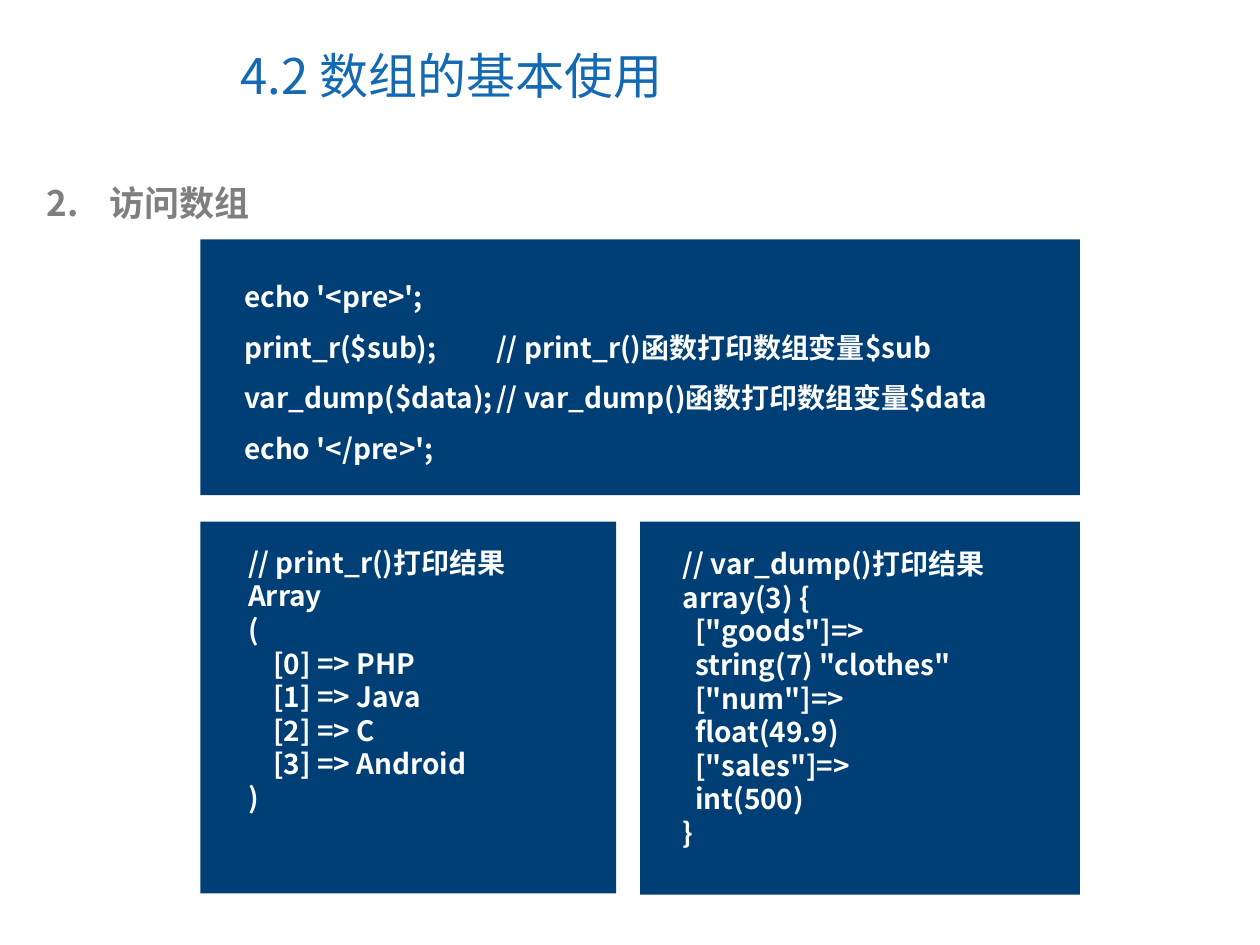
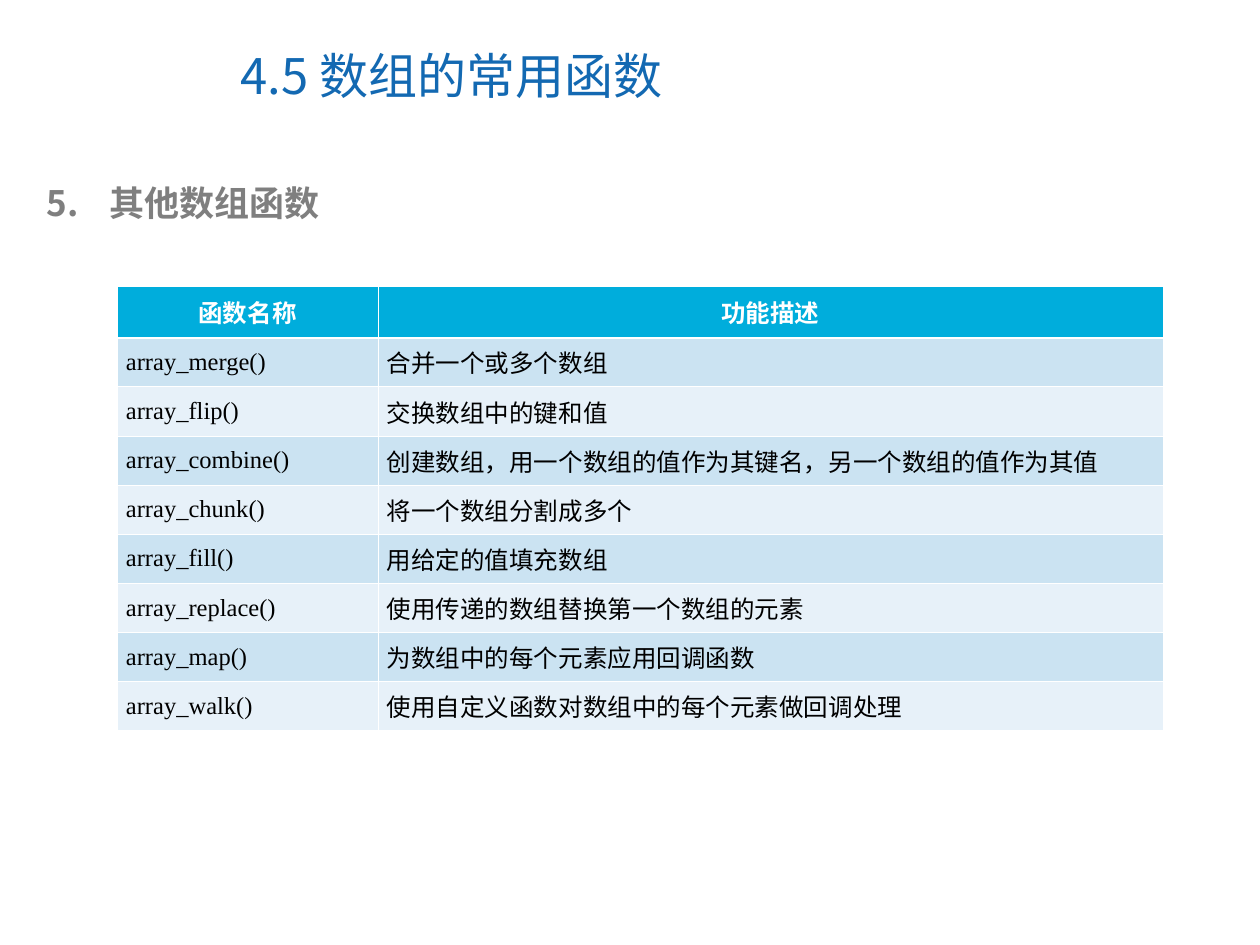
from typing import NamedTuple

from lxml.etree import SubElement
from pptx import Presentation
from pptx.dml.color import RGBColor
from pptx.enum.shapes import MSO_SHAPE
from pptx.enum.text import MSO_ANCHOR, MSO_AUTO_SIZE, PP_ALIGN
from pptx.oxml.ns import qn
from pptx.util import Emu, Pt

EMU_PER_PX = 9144  # 100 px to the inch
COLORS = {
    "title": "1369B2",
    "heading": "7F7F7F",
    "panel": "003F75",
    "header": "00ADDC",
    "odd_row": "CBE3F2",
    "even_row": "E7F1F9",
    "white": "FFFFFF",
    "black": "000000",
}
CJK_FONT = "Noto Sans CJK SC"
HEADER_FONT = "Cabin"
TABLE_FONT = "Times New Roman"


class Box(NamedTuple):
    left: int
    top: int
    width: int
    height: int

    def emu(self) -> list[Emu]:
        return [px(length) for length in self]


class TextStyle(NamedTuple):
    size: int
    color: str
    bold: bool = False
    latin: str = CJK_FONT


class CodePanel(NamedTuple):
    panel: Box
    text: Box
    code: str
    line_spacing: float = 1.0
    comment_tab: int = 0


TITLE_BOX = Box(181, 17, 516, 85)
HEADING_BOX = Box(27, 139, 922, 44)
TITLE_STYLE = TextStyle(28, "title")
HEADING_STYLE = TextStyle(20, "heading", True)
CODE_STYLE = TextStyle(16, "white", True)
CELL_STYLE = TextStyle(14, "black", latin=TABLE_FONT)

CODE_PANELS = [
    CodePanel(Box(159, 190, 698, 203), Box(184, 204, 647, 170), """\
echo '<pre>';
print_r($sub);\t// print_r()函数打印数组变量$sub
var_dump($data);\t// var_dump()函数打印数组变量$data
echo '</pre>';""", 1.5, 200),
    CodePanel(Box(159, 414, 330, 295), Box(187, 428, 301, 224), """\
// print_r()打印结果
Array
(
    [0] => PHP
    [1] => Java
    [2] => C
    [3] => Android
)"""),
    CodePanel(Box(508, 414, 349, 296), Box(532, 429, 285, 250), """\
// var_dump()打印结果
array(3) {
  ["goods"]=>
  string(7) "clothes"
  ["num"]=>
  float(49.9)
  ["sales"]=>
  int(500)
}"""),
]

TABLE_BOX = Box(93, 227, 830, 353)
COLUMN_WIDTHS = (207, 623)
HEADER_HEIGHT, ROW_HEIGHT = 41, 39
HEADERS = [("函数名称", HEADER_FONT), ("功能描述", CJK_FONT)]
FUNCTIONS = [
    ("array_merge()", "合并一个或多个数组"),
    ("array_flip()", "交换数组中的键和值"),
    ("array_combine()", "创建数组，用一个数组的值作为其键名，另一个数组的值作为其值"),
    ("array_chunk()", "将一个数组分割成多个"),
    ("array_fill()", "用给定的值填充数组"),
    ("array_replace()", "使用传递的数组替换第一个数组的元素"),
    ("array_map()", "为数组中的每个元素应用回调函数"),
    ("array_walk()", "使用自定义函数对数组中的每个元素做回调处理"),
]


def px(length: int) -> Emu:
    return Emu(length * EMU_PER_PX)


def rgb(name: str) -> RGBColor:
    return RGBColor.from_string(COLORS[name])


def add_run(paragraph, text: str, style: TextStyle) -> None:
    run = paragraph.add_run()
    run.text = text
    run.font.size = Pt(style.size)
    run.font.bold = style.bold
    run.font.color.rgb = rgb(style.color)
    run.font.name = style.latin
    SubElement(run.font._element, qn("a:ea"), typeface=CJK_FONT)


def add_titled_slide(deck, title: str, number: int, heading: str):
    """Add a slide with its section title and numbered heading."""
    slide = deck.slides.add_slide(deck.slide_layouts[5])
    section = slide.shapes.title
    section.left, section.top, section.width, section.height = TITLE_BOX.emu()
    section.text_frame.vertical_anchor = MSO_ANCHOR.MIDDLE
    section.text_frame.auto_size = MSO_AUTO_SIZE.NONE
    section_line = section.text_frame.paragraphs[0]
    section_line.alignment = PP_ALIGN.LEFT
    add_run(section_line, title, TITLE_STYLE)

    topic = slide.shapes.add_textbox(*HEADING_BOX.emu()).text_frame
    topic.word_wrap = True
    topic_line = topic.paragraphs[0]
    numbering = topic_line._p.get_or_add_pPr()
    numbering.set("marL", str(px(50)))
    numbering.set("indent", str(px(-50)))
    bullet_color = SubElement(numbering, qn("a:buClr"))
    SubElement(bullet_color, qn("a:srgbClr"), val=COLORS["heading"])
    SubElement(numbering, qn("a:buFont"), typeface=CJK_FONT)
    SubElement(numbering, qn("a:buAutoNum"), type="arabicPeriod", startAt=str(number))
    add_run(topic_line, heading, HEADING_STYLE)
    return slide


def add_code_panel(slide, spec: CodePanel) -> None:
    group = slide.shapes.add_group_shape()
    panel = group.shapes.add_shape(MSO_SHAPE.RECTANGLE, *spec.panel.emu())
    panel.shadow.inherit = False
    panel.fill.solid()
    panel.fill.fore_color.rgb = rgb("panel")
    panel.line.fill.background()

    listing = group.shapes.add_textbox(*spec.text.emu()).text_frame
    listing.word_wrap = True
    for index, code_line in enumerate(spec.code.split("\n")):
        paragraph = listing.add_paragraph() if index else listing.paragraphs[0]
        paragraph.line_spacing = spec.line_spacing
        if spec.comment_tab:
            tabs = SubElement(paragraph._p.get_or_add_pPr(), qn("a:tabLst"))
            SubElement(tabs, qn("a:tab"), pos=str(px(spec.comment_tab)), algn="l")
        add_run(paragraph, code_line, CODE_STYLE)


def set_borders(cell, widths: dict[str, float]) -> None:
    properties = cell._tc.get_or_add_tcPr()
    for position, (side, width) in enumerate(widths.items()):
        border = SubElement(properties, qn(f"a:ln{side}"), w=str(Pt(width)))
        fill = SubElement(border, qn("a:solidFill"))
        SubElement(fill, qn("a:srgbClr"), val=COLORS["white"])
        properties.insert(position, border)


def fill_cell(cell, text: str, style: TextStyle, row: int) -> None:
    is_header = row == 0
    cell.vertical_anchor = MSO_ANCHOR.MIDDLE
    cell.margin_left = cell.margin_right = px(8 if is_header else 7)
    cell.margin_top = cell.margin_bottom = px(5)
    cell.fill.solid()
    band = "odd_row" if row % 2 else "even_row"
    cell.fill.fore_color.rgb = rgb("header" if is_header else band)
    thin, thick = 0.45, 1.47
    set_borders(cell, {"L": thin, "R": thin,
                       "T": thick if row == 1 else thin,
                       "B": thick if is_header else thin})
    paragraph = cell.text_frame.paragraphs[0]
    paragraph.alignment = PP_ALIGN.CENTER if is_header else PP_ALIGN.LEFT
    add_run(paragraph, text, style)


def add_function_table(slide) -> None:
    table = slide.shapes.add_table(
        len(FUNCTIONS) + 1, len(COLUMN_WIDTHS), *TABLE_BOX.emu()).table
    for column, width in zip(table.columns, COLUMN_WIDTHS):
        column.width = px(width)
    for index, row in enumerate(table.rows):
        row.height = px(ROW_HEIGHT if index else HEADER_HEIGHT)
    for column, (label, font) in enumerate(HEADERS):
        fill_cell(table.cell(0, column), label, TextStyle(14, "white", True, font), 0)
    for row, function in enumerate(FUNCTIONS, start=1):
        for column, text in enumerate(function):
            fill_cell(table.cell(row, column), text, CELL_STYLE, row)


def main() -> None:
    deck = Presentation()
    deck.slide_width, deck.slide_height = px(1000), px(750)

    # Accessing arrays: code and its two printed results
    access = add_titled_slide(deck, "4.2 数组的基本使用", 2, "访问数组")
    for spec in CODE_PANELS:
        add_code_panel(access, spec)

    # Other array functions
    others = add_titled_slide(deck, "4.5 数组的常用函数", 5, "其他数组函数")
    add_function_table(others)

    deck.save("out.pptx")


if __name__ == "__main__":
    main()
